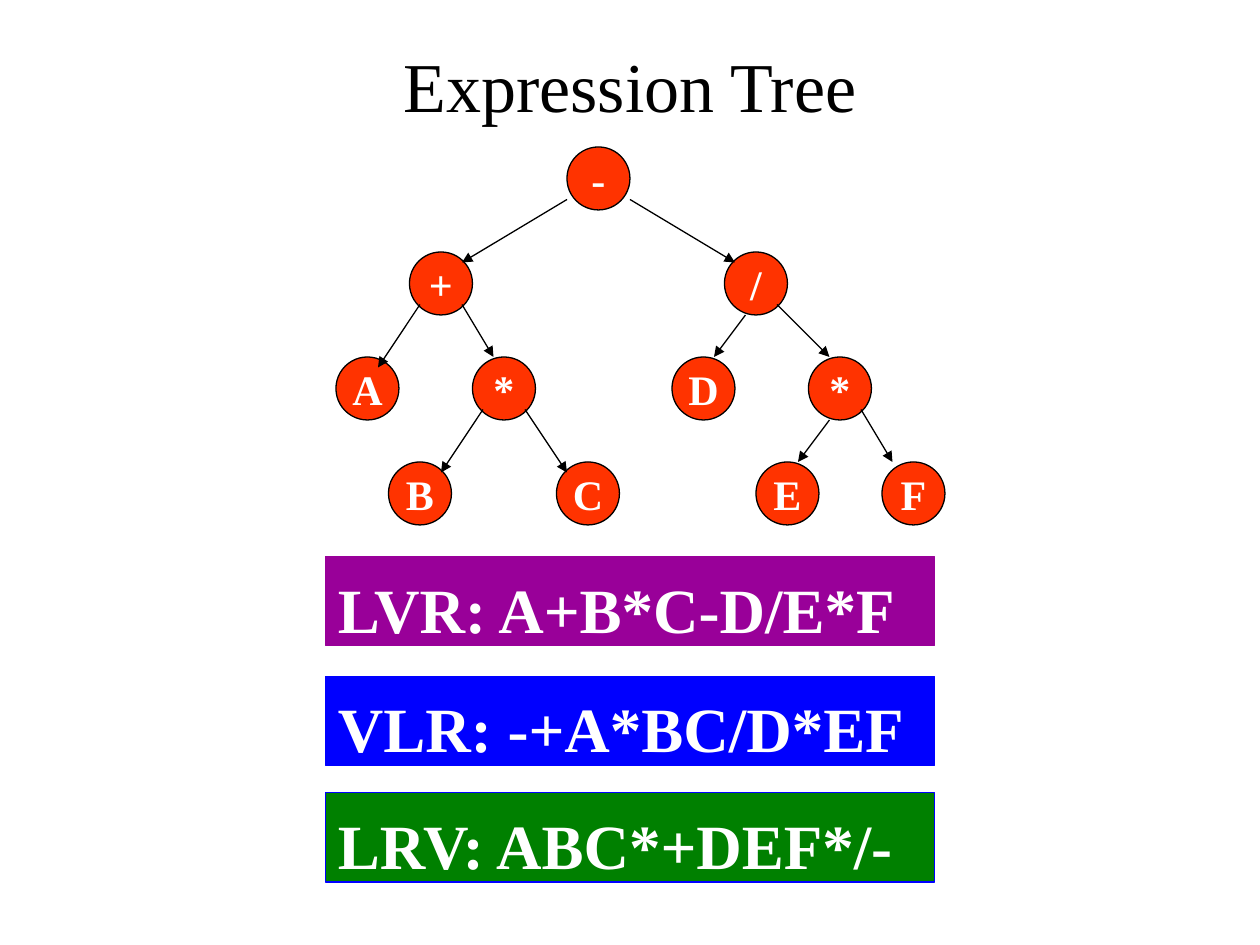
import pptx
import pptx.util
import pptx.dml.color
import pptx.enum.shapes
import pptx.enum.text
import pptx.oxml
import pptx.oxml.ns

RGB = pptx.dml.color.RGBColor
SHAPE = pptx.enum.shapes.MSO_SHAPE
ANCHOR = pptx.enum.text.MSO_ANCHOR
ALIGN = pptx.enum.text.PP_ALIGN

BLACK = RGB(0x00, 0x00, 0x00)
WHITE = RGB(0xFF, 0xFF, 0xFF)
ORANGE = RGB(0xFF, 0x33, 0x00)
PURPLE = RGB(0x99, 0x00, 0x99)
BLUE = RGB(0x00, 0x00, 0xFF)
GREEN = RGB(0x00, 0x80, 0x00)
FONT = "Times New Roman"

TITLE = "Expression Tree"

# Tree nodes: key -> (label, level, left)
NODES = {
    "minus": ("-", 0, 540),
    "divide": ("/", 1, 690),
    "plus": ("+", 1, 390),
    "A": ("A", 2, 320),
    "times1": ("*", 2, 450),
    "D": ("D", 2, 640),
    "times2": ("*", 2, 770),
    "F": ("F", 3, 840),
    "C": ("C", 3, 530),
    "B": ("B", 3, 370),
    "E": ("E", 3, 720),
}
# Edges: parent, offset in its box, child, offset in its box
EDGES = [
    ("minus", (0, 50), "plus", (50, 10)),
    ("minus", (60, 50), "divide", (10, 10)),
    ("divide", (50, 50), "times2", (20, 0)),
    ("divide", (20, 60), "D", (40, 0)),
    ("plus", (10, 50), "A", (40, 10)),
    ("plus", (50, 50), "times1", (20, 0)),
    ("times2", (50, 50), "F", (10, 0)),
    ("times2", (20, 60), "E", (40, 0)),
    ("times1", (10, 50), "B", (50, 10)),
    ("times1", (50, 50), "C", (10, 10)),
]
# Traversals: text, top, fill, line
TRAVERSALS = [
    ("LVR: A+B*C-D/E*F", 530, PURPLE, PURPLE),
    ("VLR: -+A*BC/D*EF", 644, BLUE, BLUE),
    ("LRV: ABC*+DEF*/-", 755, GREEN, BLUE),
]
NODE_SIZE, TREE_TOP, LEVEL_STEP = 60, 140, 100
BAR_LEFT, BAR_WIDTH, BAR_HEIGHT = 310, 580, 85


def px(n):
    """120 px to the inch."""
    return pptx.util.Emu(n * 7620)


def write(tf, text, size, color, bold, align):
    p = tf.paragraphs[0]
    p.alignment = align
    r = p.add_run()
    r.text = text
    r.font.name, r.font.size = FONT, pptx.util.Pt(size)
    r.font.bold, r.font.color.rgb = bold, color


def add_box(s, kind, left, top, width, height, fill, line):
    sp = s.shapes.add_shape(kind, px(left), px(top), px(width), px(height))
    sp.shadow.inherit = False
    sp.fill.solid()
    sp.fill.fore_color.rgb = fill
    sp.line.color.rgb = line
    sp.line.width = pptx.util.Pt(0.75)
    return sp


def add_arrow(s, start, end):
    c = s.shapes.add_connector(pptx.enum.shapes.MSO_CONNECTOR.STRAIGHT,
                               *map(px, start + end))
    c.line.color.rgb = BLACK
    c.line.width = pptx.util.Pt(0.75)
    tail = pptx.oxml.parse_xml(
        f'<a:tailEnd {pptx.oxml.ns.nsdecls("a")} type="triangle"/>')
    c.line._get_or_add_ln().append(tail)
    c._element.spPr.append(pptx.oxml.parse_xml(
        f'<a:effectLst {pptx.oxml.ns.nsdecls("a")}/>'))


def node_point(key, offset=(0, 0)):
    label, level, left = NODES[key]
    return left + offset[0], TREE_TOP + level * LEVEL_STEP + offset[1]


def main():
    prs = pptx.Presentation()
    prs.slide_width, prs.slide_height = px(1200), px(900)
    s = prs.slides.add_slide(prs.slide_layouts[5])

    # Title
    title = s.shapes.title
    title.left, title.top, title.width, title.height = map(px, (90, 30, 1020, 100))
    title.text_frame.vertical_anchor = ANCHOR.MIDDLE
    write(title.text_frame, TITLE, 40, BLACK, False, ALIGN.CENTER)

    # Tree nodes
    for key, (label, level, left) in NODES.items():
        sp = add_box(s, SHAPE.OVAL, *node_point(key), NODE_SIZE, NODE_SIZE,
                     ORANGE, BLACK)
        tf = sp.text_frame
        tf.word_wrap = False
        tf.vertical_anchor = ANCHOR.MIDDLE
        write(tf, label, 24, WHITE, True, ALIGN.CENTER)

    # Tree edges
    for parent, start, child, end in EDGES:
        add_arrow(s, node_point(parent, start), node_point(child, end))

    # Traversal bars
    for text, top, fill, line in TRAVERSALS:
        sp = add_box(s, SHAPE.RECTANGLE, BAR_LEFT, top, BAR_WIDTH, BAR_HEIGHT,
                     fill, line)
        tf = sp.text_frame
        tf.word_wrap = True
        tf.vertical_anchor = ANCHOR.TOP
        tf.margin_top, tf.margin_bottom = px(13), px(0)
        write(tf, text, 36, WHITE, True, ALIGN.LEFT)

    prs.save("out.pptx")


if __name__ == "__main__":
    main()
